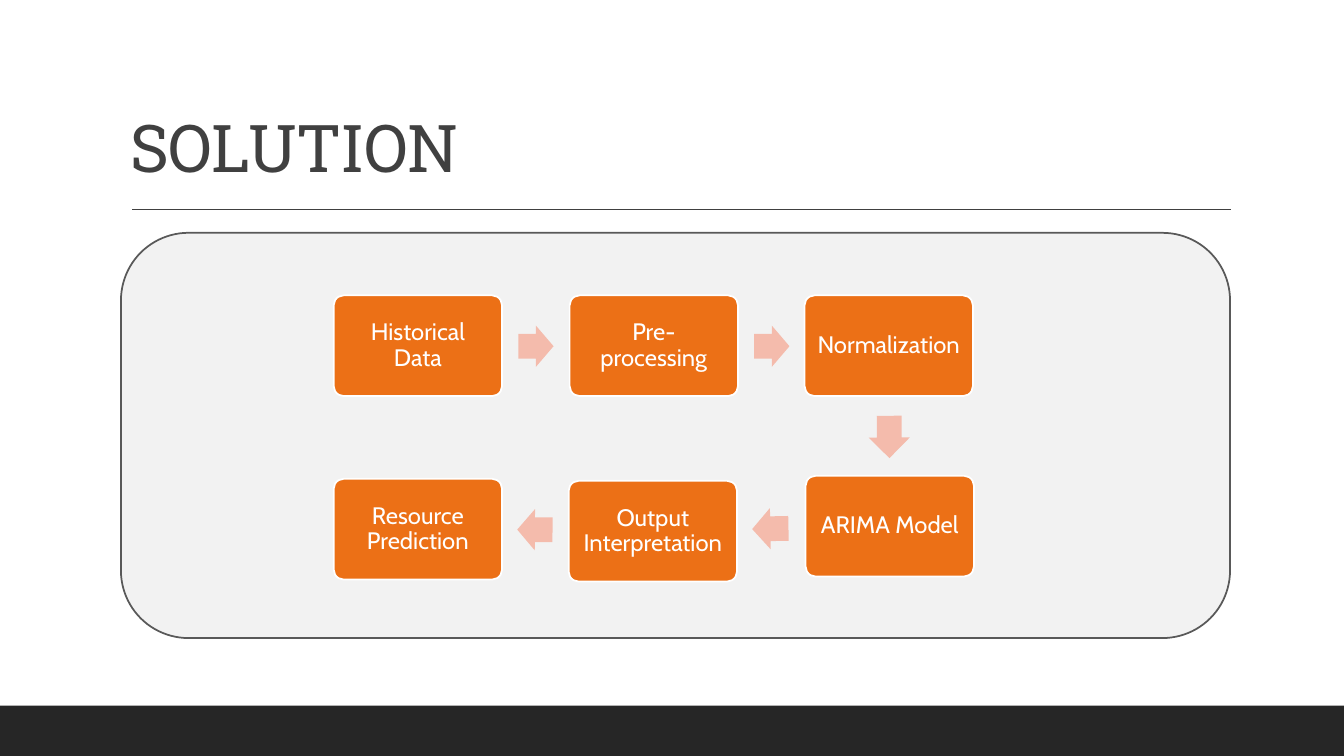
from dataclasses import dataclass

from pptx import Presentation
from pptx import util as u
from pptx.dml.color import RGBColor
from pptx.enum import shapes, text
from pptx.oxml.ns import qn
from lxml import etree


@dataclass(frozen=True)
class Theme:
    footer: str = "262626"
    ink: str = "404040"
    panel: str = "F2F2F2"
    panel_line: str = "595959"
    step: str = "EC7016"
    arrow: str = "F4BBAC"
    white: str = "FFFFFF"
    title_font: str = "Roboto Slab"
    step_font: str = "Cabin"
    title_size: int = 47
    step_size: int = 17


theme = Theme()
kinds = shapes.MSO_SHAPE

presentation = Presentation()
presentation.slide_width = u.Inches(13.33)
presentation.slide_height = u.Inches(7.5)
slide = presentation.slides.add_slide(presentation.slide_layouts[6])


def add_block(kind, left, top, width, height, fill, line=None):
    shape = slide.shapes.add_shape(
        kind, u.Inches(left), u.Inches(top), u.Inches(width), u.Inches(height))
    shape.shadow.inherit = False
    shape.fill.solid()
    shape.fill.fore_color.rgb = RGBColor.from_string(fill)
    if line:
        shape.line.color.rgb = RGBColor.from_string(line)
        shape.line.width = u.Pt(1.25)
    else:
        shape.line.fill.background()
    return shape


def write(shape, wording, font, size, color, anchor, align):
    frame = shape.text_frame
    frame.word_wrap = True
    frame.vertical_anchor = anchor
    paragraph = frame.paragraphs[0]
    paragraph.alignment = align
    paragraph.line_spacing = 0.9
    run = paragraph.add_run()
    run.text = wording
    run.font.name = font
    run.font.size = u.Pt(size)
    run.font.color.rgb = RGBColor.from_string(color)
    return run


add_block(kinds.RECTANGLE, 0, 7, 13.33, 0.5, theme.footer)

rule = slide.shapes.add_connector(
    shapes.MSO_CONNECTOR.STRAIGHT,
    u.Inches(1.31), u.Inches(2.08), u.Inches(12.21), u.Inches(2.08))
rule.line.color.rgb = RGBColor.from_string(theme.ink)
rule.line.width = u.Pt(1)
etree.SubElement(rule._element.spPr, qn("a:effectLst"))

title = slide.shapes.add_textbox(
    u.Inches(1.2), u.Inches(0.31), u.Inches(11), u.Inches(1.59))
title_run = write(title, "SOLUTION", theme.title_font, theme.title_size, theme.ink,
                  text.MSO_ANCHOR.BOTTOM, text.PP_ALIGN.LEFT)
title_run._r.get_or_add_rPr().set("spc", "-50")

add_block(kinds.ROUNDED_RECTANGLE, 1.2, 2.31, 11, 4.02, theme.panel, theme.panel_line)

steps = [
    ("Historical Data", 3.31, 2.93),
    ("Pre-processing", 5.65, 2.93),
    ("Normalization", 7.98, 2.93),
    ("ARIMA Model", 7.99, 4.72),
    ("Output Interpretation", 5.64, 4.77),
    ("Resource Prediction", 3.31, 4.75),
]
for wording, left, top in steps:
    step = add_block(kinds.ROUNDED_RECTANGLE, left, top, 1.67, 1, theme.step, theme.white)
    step.adjustments[0] = 0.1
    frame = step.text_frame
    frame.margin_left = frame.margin_right = u.Inches(0.09)
    frame.margin_top = frame.margin_bottom = u.Inches(0.09)
    write(step, wording, theme.step_font, theme.step_size, theme.white,
          text.MSO_ANCHOR.MIDDLE, text.PP_ALIGN.CENTER)

arrows = [
    (5.14, 3.23, 0.35, 0),
    (7.48, 3.23, 0.35, 0),
    (8.61, 4.13, 0.42, 89.6),
    (7.46, 5.04, 0.36, 178.9),
    (5.13, 5.05, 0.35, 180.4),
]
for left, top, width, rotation in arrows:
    arrow = add_block(kinds.RIGHT_ARROW, left, top, width, 0.41, theme.arrow)
    arrow.adjustments[0] = 0.6
    arrow.adjustments[1] = 0.5
    arrow.rotation = rotation

presentation.save("out.pptx")
